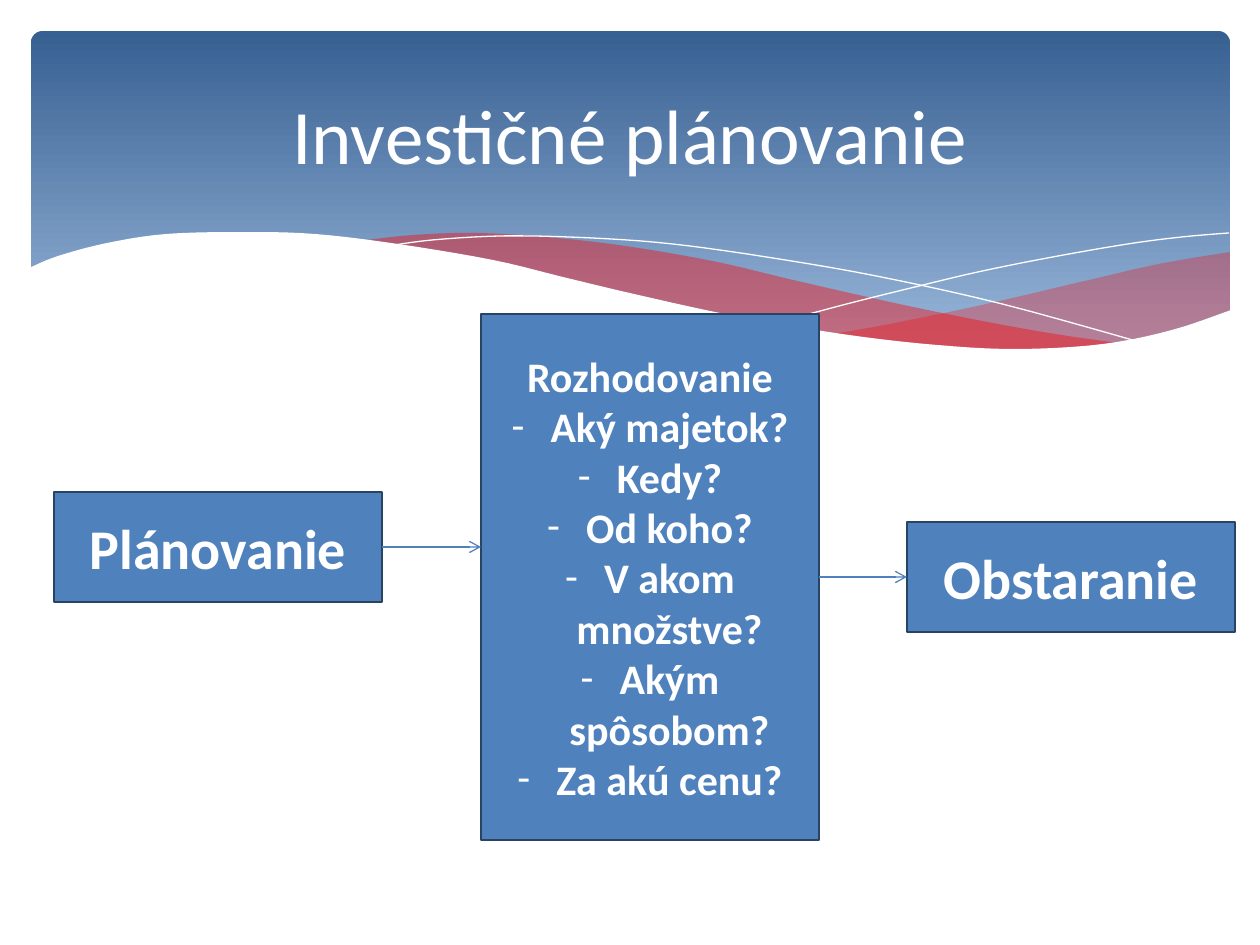
from dataclasses import dataclass, field
from itertools import chain

from lxml import etree
from pptx import Presentation
from pptx.dml.color import RGBColor
from pptx.enum.shapes import MSO_CONNECTOR, MSO_SHAPE
from pptx.enum.text import MSO_ANCHOR, PP_ALIGN
from pptx.oxml.ns import qn
from pptx.slide import Slide
from pptx.util import Pt

STRAIGHT = MSO_CONNECTOR.STRAIGHT
RECTANGLE = MSO_SHAPE.RECTANGLE
ROUNDED = MSO_SHAPE.ROUNDED_RECTANGLE
MIDDLE = MSO_ANCHOR.MIDDLE
CENTER = PP_ALIGN.CENTER
LEFT_SIDE, RIGHT_SIDE = 1, 3

SCALE = 914400 / 126
COLORS = {
    "white": "FFFFFF",
    "header_top": "376092",
    "header_bottom": "95B3D7",
    "wave": "FF0000",
    "box": "4F81BD",
    "outline": "294363",
}

RIGHT_WAVE = [
    [(1230, 252), (1159, 264), (1085, 281), (982, 305), (890, 324), (833, 334)],
    [(833, 334), (906, 343), (984, 349), (1064, 349), (1130, 340), (1187, 327), (1230, 311)],
]
LONG_WAVE = [
    [(360, 241), (413, 235), (479, 233), (557, 238), (632, 247), (717, 262),
     (793, 280), (890, 302), (977, 320), (1055, 334), (1125, 344)],
    [(1125, 344), (1068, 349), (989, 350), (910, 345), (838, 335), (757, 321),
     (668, 302), (566, 280), (509, 266), (456, 255), (407, 247), (360, 241)],
]
FALLING_LINE = [[(389, 246), (433, 240), (505, 236), (591, 238), (672, 244),
                 (766, 257), (876, 276), (1002, 304), (1143, 343)]]
RISING_LINE = [[(772, 324), (847, 304), (907, 289), (978, 272), (1053, 257),
                (1128, 244), (1182, 237), (1229, 233)]]
HEADER_EDGE = [
    [(1231, 310), (1172, 330), (1103, 344), (1019, 349), (937, 345), (842, 334),
     (730, 315), (634, 294), (563, 277), (493, 260), (398, 244), (315, 234),
     (243, 232), (166, 234), (107, 243), (58, 256), (29, 268)],
    [(29, 415), (1231, 415)],
]
QUESTIONS = ["Aký majetok?", "Kedy?", "Od koho?", "V akom množstve?",
             "Akým spôsobom?", "Za akú cenu?"]


def px(value):
    return round(value * SCALE)


def rgb(name):
    return RGBColor.from_string(COLORS[name])


def smooth_curve(knots, steps=5):
    if len(knots) < 3:
        return knots
    padded = [knots[0], *knots, knots[-1]]
    points = []
    for before, start, end, after in zip(padded, padded[1:], padded[2:], padded[3:]):
        for step in range(steps):
            t = step / steps
            points.append(tuple(
                b + ((c - a) * t + (2 * a - 5 * b + 4 * c - d) * t**2
                     + (3 * b - a - 3 * c + d) * t**3) / 2
                for a, b, c, d in zip(before, start, end, after)))
    return points + [knots[-1]]


def write_text(frame, lines, size=24, bold=False, color="white", font="Calibri", bullets_from=None):
    frame.word_wrap = True
    frame.vertical_anchor = MIDDLE
    for index, line in enumerate(lines):
        paragraph = frame.paragraphs[0] if index == 0 else frame.add_paragraph()
        paragraph.alignment = CENTER
        if bullets_from is not None and index >= bullets_from:
            properties = paragraph._p.get_or_add_pPr()
            properties.set("marL", str(px(39)))
            properties.set("indent", str(px(-39)))
            etree.SubElement(properties, qn("a:buFont"), typeface=font)
            etree.SubElement(properties, qn("a:buChar"), char="-")
        run = paragraph.add_run()
        run.text = line
        run.font.name = font
        run.font.size = Pt(size)
        run.font.bold = bold
        run.font.color.rgb = rgb(color)


@dataclass
class SlideBuilder:
    slide: Slide
    colors: dict = field(default_factory=lambda: COLORS)
    outline_width: float = 1.25
    arrow_width: float = 0.75

    def header(self, left, top, width, height):
        shape = self.slide.shapes.add_shape(ROUNDED, px(left), px(top), px(width), px(height))
        shape.adjustments[0] = 0.034
        shape.shadow.inherit = False
        shape.line.fill.background()
        shape.fill.gradient()
        shape.fill.gradient_angle = 270
        stops = shape.fill.gradient_stops
        for stop, color, position in zip(stops, ("header_top", "header_bottom"), (0, 0.9)):
            stop.color.rgb = rgb(color)
            stop.position = position

    def outline(self, curves, closed):
        points = [(px(x), px(y)) for x, y in chain.from_iterable(map(smooth_curve, curves))]
        builder = self.slide.shapes.build_freeform(*points[0], scale=1.0)
        builder.add_line_segments(points[1:], close=closed)
        shape = builder.convert_to_shape()
        shape.shadow.inherit = False
        return shape

    def area(self, curves, color, opacity=100):
        shape = self.outline(curves, True)
        shape.line.fill.background()
        shape.fill.solid()
        shape.fill.fore_color.rgb = rgb(color)
        if opacity < 100:
            fill_color = shape._element.spPr.find(qn("a:solidFill"))[0]
            etree.SubElement(fill_color, qn("a:alpha"), val=str(opacity * 1000))

    def curve(self, curves, color):
        shape = self.outline(curves, False)
        shape.fill.background()
        shape.line.color.rgb = rgb(color)
        shape.line.width = Pt(0)

    def title(self, text, left, top, width, height):
        shape = self.slide.shapes.add_textbox(px(left), px(top), px(width), px(height))
        write_text(shape.text_frame, [text], size=44)

    def box(self, lines, left, top, width, height, **text_format):
        shape = self.slide.shapes.add_shape(RECTANGLE, px(left), px(top), px(width), px(height))
        shape.shadow.inherit = False
        shape.fill.solid()
        shape.fill.fore_color.rgb = rgb("box")
        shape.line.color.rgb = rgb("outline")
        shape.line.width = Pt(self.outline_width)
        write_text(shape.text_frame, lines, bold=True, **text_format)
        return shape

    def arrow(self, start, end, y, begin_shape=None, end_shape=None):
        connector = self.slide.shapes.add_connector(STRAIGHT, px(start), px(y), px(end), px(y))
        if begin_shape is not None:
            connector.begin_connect(begin_shape, RIGHT_SIDE)
        if end_shape is not None:
            connector.end_connect(end_shape, LEFT_SIDE)
        connector.line.color.rgb = rgb("box")
        connector.line.width = Pt(self.arrow_width)
        etree.SubElement(connector.line._get_or_add_ln(), qn("a:tailEnd"), type="arrow")
        etree.SubElement(connector._element.spPr, qn("a:effectLst"))


def main():
    presentation = Presentation()
    presentation.slide_width, presentation.slide_height = px(1260), px(945)
    builder = SlideBuilder(presentation.slides.add_slide(presentation.slide_layouts[6]))

    builder.header(31, 31, 1199, 340)
    builder.area(RIGHT_WAVE, "wave", opacity=29)
    builder.area(LONG_WAVE, "wave", opacity=40)
    builder.curve(FALLING_LINE, "white")
    builder.curve(RISING_LINE, "white")
    builder.area(HEADER_EDGE, "white")
    builder.title("Investičné plánovanie", 63, 47, 1134, 173)

    planning = builder.box(["Plánovanie"], 54, 492, 328, 110, size=32)
    decision = builder.box(["Rozhodovanie", *QUESTIONS], 481, 314, 338, 526, bullets_from=1)
    procurement = builder.box(["Obstaranie"], 907, 522, 328, 110, size=32)
    builder.arrow(382, 481, 547, begin_shape=planning)
    builder.arrow(819, 907, 577, begin_shape=decision, end_shape=procurement)
    presentation.save("out.pptx")


if __name__ == "__main__":
    main()
